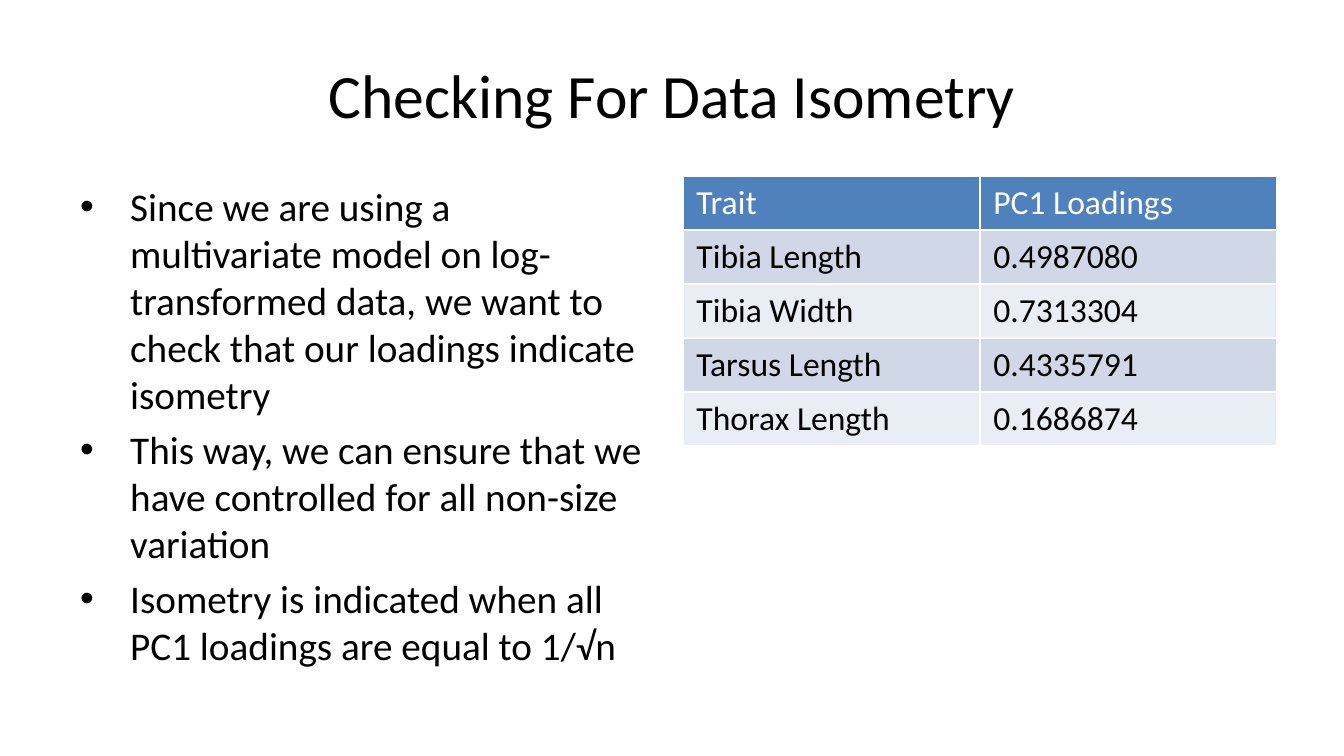
"""Build the slide on checking data isometry."""
import pptx
import pptx.util
import pptx.dml.color
import pptx.enum.text
import pptx.oxml
import pptx.oxml.ns

RGB = pptx.dml.color.RGBColor
BLACK = RGB(0, 0, 0)
WHITE = RGB(255, 255, 255)
BLUE = RGB(0x4F, 0x81, 0xBD)
BANDS = [RGB(0xE9, 0xED, 0xF4), RGB(0xD0, 0xD8, 0xE8)]

TITLE = "Checking For Data Isometry"
POINTS = [
    "Since we are using a multivariate model on log-transformed data, "
    "we want to check that our loadings indicate isometry",
    "This way, we can ensure that we have controlled for all non-size variation",
    "Isometry is indicated when all PC1 loadings are equal to 1/√n",
]
ROWS = [
    ("Trait", "PC1 Loadings"),
    ("Tibia Length", "0.4987080"),
    ("Tibia Width", "0.7313304"),
    ("Tarsus Length", "0.4335791"),
    ("Thorax Length", "0.1686874"),
]

WIDE, HIGH = 1344, 756
EDGE, TOP, COL = 67, 176, 594
ROW, HANG = 54, 50
SCALE = 9144000 / WIDE
SIZES = {"title": 33, "body": 21, "cell": 18}


def px(*vals):
    """Turn px into EMU."""
    return [pptx.util.Emu(round(val * SCALE)) for val in vals]


def style(par, kind, color=BLACK):
    """Format the text of a paragraph."""
    look = {"name": "Calibri", "size": pptx.util.Pt(SIZES[kind]), "bold": False}
    for run in par.runs:
        for key, val in look.items():
            setattr(run.font, key, val)
        run.font.color.rgb = color


def node(xml):
    """Parse one DrawingML element."""
    head, tail = xml.split(" ", 1)
    return pptx.oxml.parse_xml(f"{head} {pptx.oxml.ns.nsdecls('a')} {tail}")


def place(shape, *box):
    """Move and size a shape in px."""
    for key, val in zip(("left", "top", "width", "height"), px(*box)):
        setattr(shape, key, val)


def add_title(slide):
    """Fill the title placeholder."""
    title = slide.shapes.title
    place(title, EDGE, 31, WIDE - 2 * EDGE, 126)
    frame = title.text_frame
    frame.text = TITLE
    frame.vertical_anchor = pptx.enum.text.MSO_ANCHOR.MIDDLE
    frame.paragraphs[0].alignment = pptx.enum.text.PP_ALIGN.CENTER
    style(frame.paragraphs[0], "title")


def add_points(slide):
    """Add the bulleted text."""
    frame = slide.shapes.add_textbox(*px(EDGE, TOP, COL, 499)).text_frame
    frame.word_wrap = True
    frame.text = "\n".join(POINTS)
    hang = px(HANG)[0]
    for par in frame.paragraphs:
        par.space_before = pptx.util.Pt(SIZES["body"] * 0.2)
        props = par._p.get_or_add_pPr()
        props.set("marL", str(hang))
        props.set("indent", str(-hang))
        props.append(node('<a:buFont typeface="Arial"/>'))
        props.append(node('<a:buChar char="•"/>'))
        style(par, "body")


def add_grid(slide):
    """Add the table of loadings."""
    left = WIDE - EDGE - COL
    box = px(left, TOP, COL, ROW * len(ROWS))
    grid = slide.shapes.add_table(len(ROWS), len(ROWS[0]), *box).table
    for row, texts in enumerate(ROWS):
        for col, text in enumerate(texts):
            cell = grid.cell(row, col)
            cell.text = text
            props = cell._tc.get_or_add_tcPr()
            for side in "LRTB":
                props.append(node(
                    f'<a:ln{side} w="12700"><a:solidFill>'
                    f'<a:srgbClr val="{WHITE}"/></a:solidFill></a:ln{side}>'))
            cell.fill.solid()
            cell.fill.fore_color.rgb = BANDS[row % 2] if row else BLUE
            style(cell.text_frame.paragraphs[0], "cell", BLACK if row else WHITE)


def main():
    """Build and save the deck."""
    deck = pptx.Presentation()
    deck.slide_width, deck.slide_height = px(WIDE, HIGH)
    slide = deck.slides.add_slide(deck.slide_layouts[5])
    add_title(slide)
    add_points(slide)
    add_grid(slide)
    deck.save("out.pptx")


if __name__ == "__main__":
    main()
